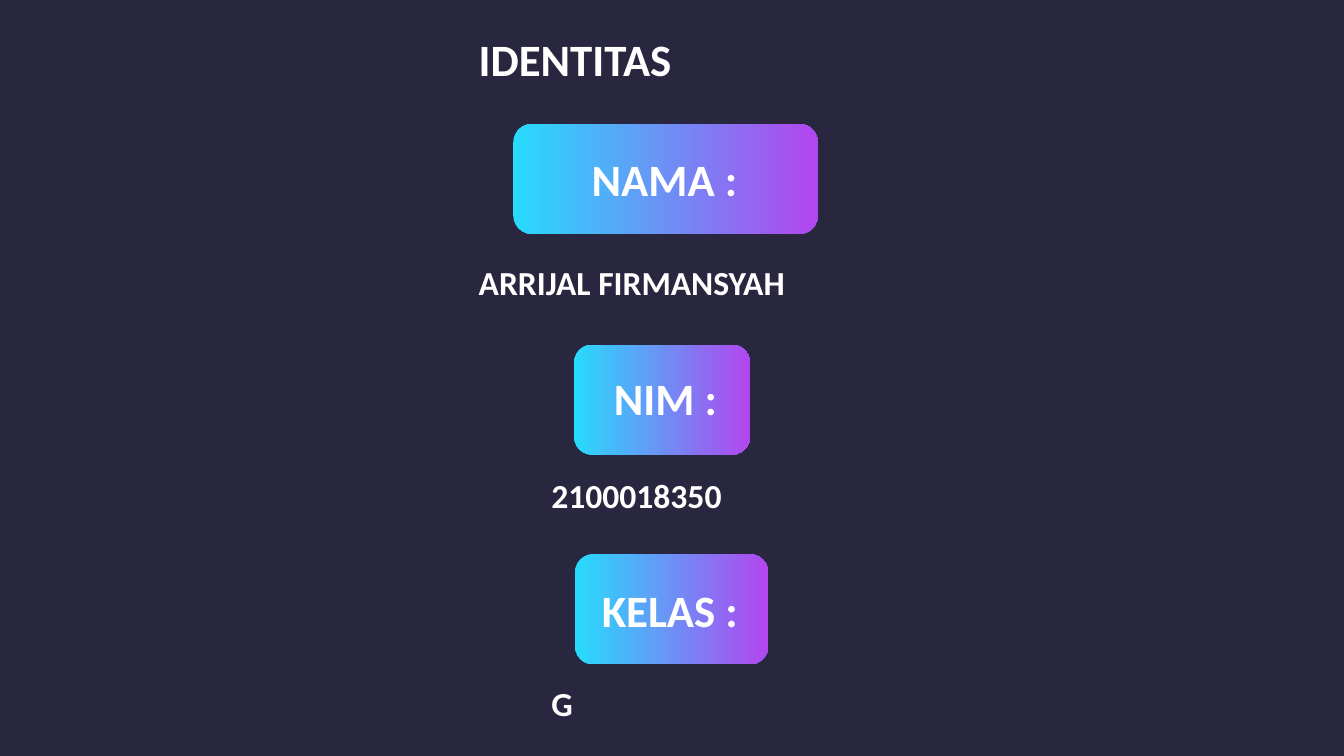
from dataclasses import dataclass

from pptx import Presentation
from pptx.dml.color import RGBColor
from pptx.enum import shapes, text
from pptx.shapes.autoshape import Shape
from pptx.shapes.shapetree import GroupShapes, SlideShapes
from pptx.util import Inches, Pt


@dataclass(frozen=True)
class Theme:
    background: RGBColor = RGBColor(0x28, 0x27, 0x3F)
    ink: RGBColor = RGBColor(0xFF, 0xFF, 0xFF)
    badge_start: RGBColor = RGBColor(0x27, 0xDB, 0xFC)
    badge_end: RGBColor = RGBColor(0xB2, 0x46, 0xEF)
    font: str = "Calibri"
    heading_size: int = 32
    value_size: int = 24


@dataclass(frozen=True)
class Box:
    left: float
    top: float
    width: float
    height: float

    def lengths(self) -> tuple[Inches, Inches, Inches, Inches]:
        return Inches(self.left), Inches(self.top), Inches(self.width), Inches(self.height)


@dataclass(frozen=True)
class IdentityField:
    label: str
    value: str
    badge: Box
    label_box: Box
    value_box: Box
    label_wraps: bool = True


THEME = Theme()
SLIDE = Box(0, 0, 13.33, 7.5)
TITLE = Box(4.65, 0.27, 3.76, 0.64)
FIELDS = [
    IdentityField("NAMA :", "ARRIJAL FIRMANSYAH", Box(5.09, 1.23, 3.02, 1.09),
                  Box(5.77, 1.46, 1.78, 0.64), Box(4.65, 2.55, 4.04, 0.91)),
    IdentityField("KELAS :", "G", Box(5.7, 5.5, 1.92, 1.09),
                  Box(5.87, 5.73, 1.75, 0.64), Box(5.37, 6.73, 2.58, 0.5)),
    IdentityField("NIM :", "2100018350", Box(5.69, 3.42, 1.75, 1.09),
                  Box(5.99, 3.63, 1.34, 0.64), Box(5.37, 4.66, 2.58, 0.5),
                  label_wraps=False),
]


def add_plain_shape(parent: SlideShapes | GroupShapes, preset: shapes.MSO_SHAPE, box: Box) -> Shape:
    """Add a shape without outline or shadow, ready to be filled."""
    shape = parent.add_shape(preset, *box.lengths())
    shape.shadow.inherit = False
    shape.line.fill.background()
    return shape


def add_background(parent: SlideShapes) -> None:
    backdrop = add_plain_shape(parent, shapes.MSO_SHAPE.RECTANGLE, SLIDE)
    backdrop.fill.solid()
    backdrop.fill.fore_color.rgb = THEME.background


def add_badge(parent: GroupShapes, box: Box) -> None:
    fill = add_plain_shape(parent, shapes.MSO_SHAPE.ROUNDED_RECTANGLE, box).fill
    fill.gradient()
    fill.gradient_angle = 0
    colors = (THEME.badge_start, THEME.badge_end)
    for position, (stop, color) in enumerate(zip(fill.gradient_stops, colors)):
        stop.position = position
        stop.color.rgb = color


def add_text(parent: SlideShapes | GroupShapes, content: str, box: Box, size: int,
             justified: bool = True, wraps: bool = True) -> None:
    frame = parent.add_textbox(*box.lengths()).text_frame
    frame.word_wrap = wraps
    frame.auto_size = text.MSO_AUTO_SIZE.SHAPE_TO_FIT_TEXT
    paragraph = frame.paragraphs[0]
    paragraph.text = content
    paragraph.alignment = text.PP_ALIGN.JUSTIFY if justified else text.PP_ALIGN.LEFT
    font = paragraph.font
    font.name = THEME.font
    font.size = Pt(size)
    font.bold = True
    font.color.rgb = THEME.ink


def add_field(parent: SlideShapes, field: IdentityField) -> None:
    members = parent.add_group_shape().shapes
    add_badge(members, field.badge)
    add_text(members, field.value, field.value_box, THEME.value_size)
    add_text(members, field.label, field.label_box, THEME.heading_size,
             justified=False, wraps=field.label_wraps)


def main() -> None:
    deck = Presentation()
    deck.slide_width = Inches(SLIDE.width)
    deck.slide_height = Inches(SLIDE.height)
    canvas = deck.slides.add_slide(deck.slide_layouts[6]).shapes
    add_background(canvas)
    add_text(canvas, "IDENTITAS", TITLE, THEME.heading_size)
    for field in FIELDS:
        add_field(canvas, field)
    deck.save("out.pptx")


if __name__ == "__main__":
    main()
